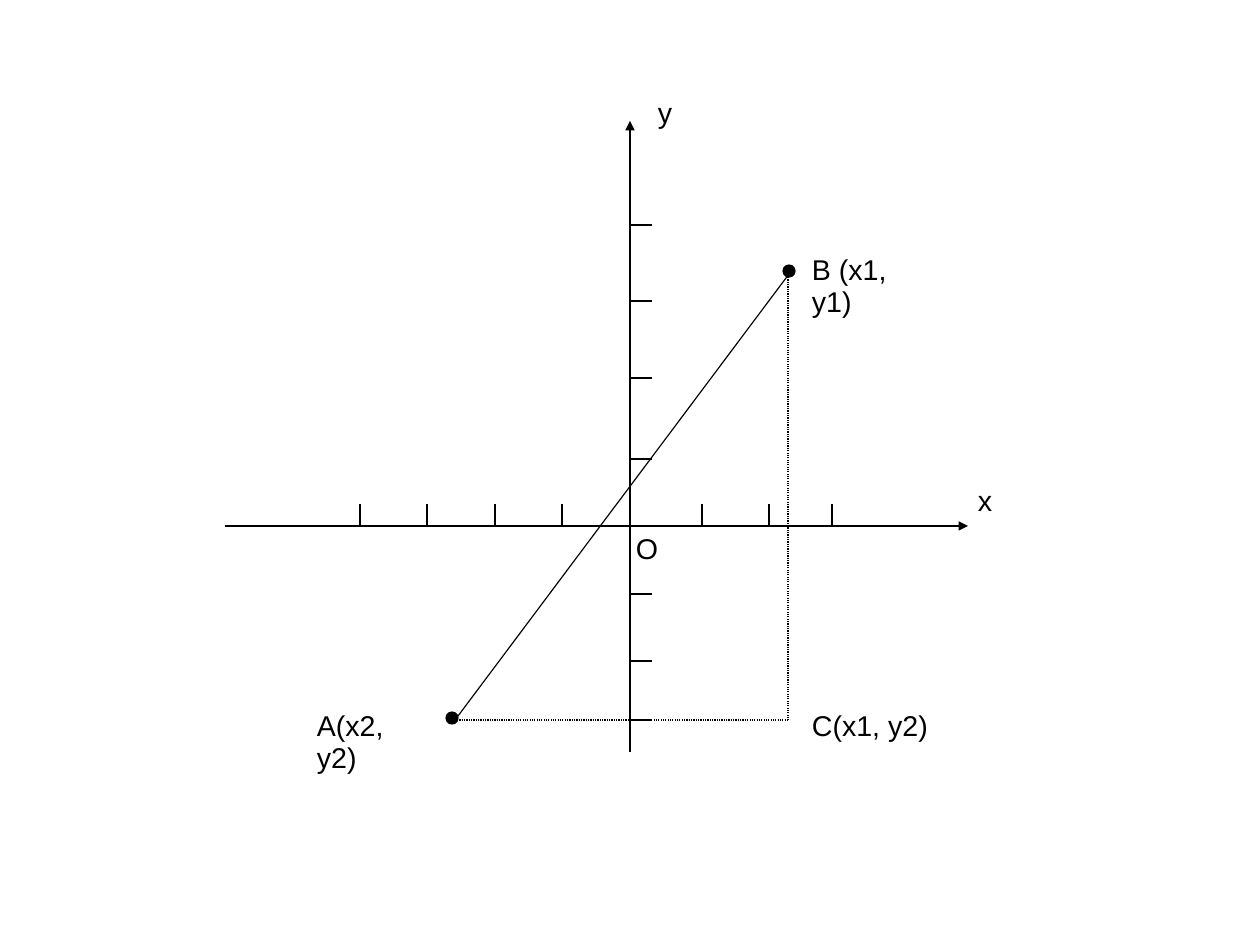
import pptx
import pptx.dml.color
import pptx.enum.dml
import pptx.enum.shapes
import pptx.enum.text
import pptx.oxml.ns
import pptx.util
from lxml import etree

PX = 8000
BLACK = "000000"
ORIGIN_X, ORIGIN_Y = 630, 526
TICK = 22
X_TICKS = [360, 427, 495, 562, 702, 769, 832]
Y_TICKS = [225, 301, 378, 459, 594, 661, 720]
LABELS = [
    ("x", 967, 478, 37),
    ("O", 625, 526, 45),
    ("y", 647, 90, 37),
    ("A(x2, y2)", 306, 703, 136),
    ("B (x1, y1)", 801, 247, 144),
    ("C(x1, y2)", 801, 703, 138),
]


def px(length):
    return pptx.util.Emu(length * PX)


def color(value):
    return pptx.dml.color.RGBColor.from_string(value)


def add_line(slide, start, end, arrow=False, dotted=False):
    segment = slide.shapes.add_connector(
        pptx.enum.shapes.MSO_CONNECTOR.STRAIGHT, *map(px, (*start, *end)))
    segment.line.color.rgb = color(BLACK)
    segment.line.width = pptx.util.Pt(0.75)
    if dotted:
        segment.line.dash_style = pptx.enum.dml.MSO_LINE.ROUND_DOT
    if arrow:
        outline = segment.line._get_or_add_ln()
        etree.SubElement(outline, pptx.oxml.ns.qn("a:tailEnd"), type="triangle")
    etree.SubElement(segment._element.spPr, pptx.oxml.ns.qn("a:effectLst"))


def add_point(slide, left, top):
    point = slide.shapes.add_shape(
        pptx.enum.shapes.MSO_SHAPE.OVAL, px(left), px(top), px(12), px(12))
    point.shadow.inherit = False
    point.fill.solid()
    point.fill.fore_color.rgb = color(BLACK)
    point.line.color.rgb = color(BLACK)
    point.line.width = pptx.util.Pt(0.75)


def add_label(slide, text, left, top, width):
    frame = slide.shapes.add_textbox(px(left), px(top), px(width), px(43)).text_frame
    frame.word_wrap = False
    frame.auto_size = pptx.enum.text.MSO_AUTO_SIZE.SHAPE_TO_FIT_TEXT
    frame.vertical_anchor = pptx.enum.text.MSO_ANCHOR.TOP
    frame.margin_left = frame.margin_right = px(11)
    frame.margin_top = px(8)
    frame.margin_bottom = px(6)
    paragraph = frame.paragraphs[0]
    paragraph.text = text
    paragraph.line_spacing = 0.93
    paragraph.font.name = "Arial"
    paragraph.font.size = pptx.util.Pt(18)
    paragraph.font.color.rgb = color(BLACK)


def main():
    deck = pptx.Presentation()
    deck.slide_width, deck.slide_height = px(1260), px(945)
    slide = deck.slides.add_slide(deck.slide_layouts[6])

    add_line(slide, (ORIGIN_X, 752), (ORIGIN_X, 121), arrow=True)
    add_line(slide, (225, ORIGIN_Y), (968, ORIGIN_Y), arrow=True)
    for y in Y_TICKS:
        add_line(slide, (ORIGIN_X, y), (ORIGIN_X + TICK, y))
    for x in X_TICKS:
        add_line(slide, (x, ORIGIN_Y), (x, ORIGIN_Y - TICK))

    add_point(slide, 446, 712)
    add_point(slide, 783, 265)
    add_line(slide, (455, 720), (792, 270))
    add_line(slide, (788, 270), (788, 720), dotted=True)
    add_line(slide, (450, 720), (788, 720), dotted=True)
    for label in LABELS:
        add_label(slide, *label)

    deck.save("out.pptx")


if __name__ == "__main__":
    main()
